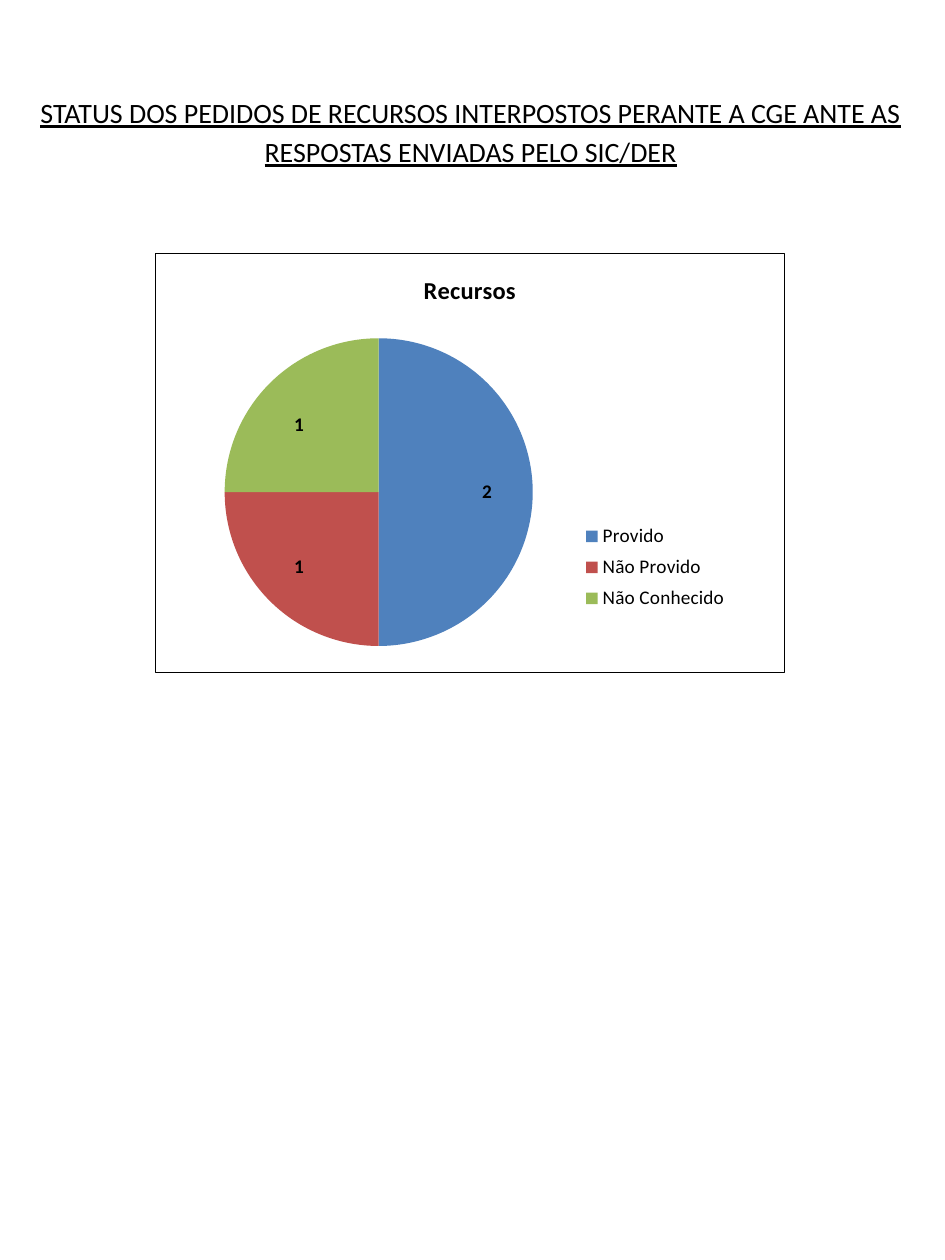
from dataclasses import dataclass

from lxml import etree
from pptx import Presentation
from pptx.chart.data import CategoryChartData
from pptx.dml.color import RGBColor
from pptx.enum.chart import XL_CHART_TYPE, XL_LABEL_POSITION, XL_LEGEND_POSITION
from pptx.enum.text import MSO_ANCHOR, MSO_AUTO_SIZE, PP_ALIGN
from pptx.oxml.ns import qn
from pptx.util import Pt

PIE = XL_CHART_TYPE.PIE
LABEL_CENTER = XL_LABEL_POSITION.CENTER
LEGEND_RIGHT = XL_LEGEND_POSITION.RIGHT
TOP = MSO_ANCHOR.TOP
NO_AUTOFIT = MSO_AUTO_SIZE.NONE
CENTER = PP_ALIGN.CENTER

FONT = "Calibri"
BLACK = "000000"
WHITE = "FFFFFF"
TITLE_ONLY = 5
HEADING = ("STATUS DOS PEDIDOS DE RECURSOS INTERPOSTOS PERANTE A CGE "
           "ANTE AS RESPOSTAS ENVIADAS PELO SIC/DER")
CHART_TITLE = "Recursos"


@dataclass(frozen=True)
class Slice:
    name: str
    value: int
    color: str
    label_shift: dict[str, float]  # fractions of the chart size


SLICES = [
    Slice("Provido", 2, "4F81BD", {"x": 0.05, "y": 0}),
    Slice("Não Provido", 1, "C0504D", {"x": -0.04, "y": 0.05}),
    Slice("Não Conhecido", 1, "9BBB59", {"x": -0.04, "y": -0.03}),
]


def rgb(color: str) -> RGBColor:
    return RGBColor.from_string(color)


def style_font(font, size: float, bold: bool = False) -> None:
    font.name = FONT
    font.size = Pt(size)
    font.bold = bold
    font.color.rgb = rgb(BLACK)


def manual_layout(values: dict[str, object]):
    """Make a chart layout element from its settings, in schema order."""
    layout = etree.Element(qn("c:layout"))
    manual = etree.SubElement(layout, qn("c:manualLayout"))
    for tag, value in values.items():
        etree.SubElement(manual, qn(f"c:{tag}")).set("val", str(value))
    return layout


def clear_layout(owner) -> None:
    for layout in owner.findall(qn("c:layout")):
        owner.remove(layout)


def add_solid_fill(owner, color: str) -> None:
    fill = etree.SubElement(owner, qn("a:solidFill"))
    etree.SubElement(fill, qn("a:srgbClr")).set("val", color)


def add_heading(page) -> None:
    box = page.shapes.title
    box.left, box.top, box.width, box.height = Pt(9.4), Pt(48.2), Pt(519), Pt(52)
    frame = box.text_frame
    frame.word_wrap = True
    frame.auto_size = NO_AUTOFIT
    frame.vertical_anchor = TOP
    para = frame.paragraphs[0]
    para.alignment = CENTER
    para.line_spacing = 1.15
    para.space_after = Pt(10)
    span = para.add_run()
    span.text = HEADING
    style_font(span.font, 16)
    span.font.underline = True


def style_slice(point, piece: Slice) -> None:
    point.format.fill.solid()
    point.format.fill.fore_color.rgb = rgb(piece.color)
    label = point.data_label
    style_font(label.font, 11, bold=True)
    label.position = LABEL_CENTER


def add_pie(page) -> None:
    data = CategoryChartData()
    data.categories = [piece.name for piece in SLICES]
    data.add_series(CHART_TITLE, [piece.value for piece in SLICES])
    chart = page.shapes.add_chart(
        PIE, Pt(88.5), Pt(144.5), Pt(360), Pt(240), data).chart
    style_font(chart.font, 11)
    root = chart.element

    # Chart title
    chart.has_title = True
    span = chart.chart_title.text_frame.paragraphs[0].add_run()
    span.text = CHART_TITLE
    style_font(span.font, 14, bold=True)

    # Slices and their values
    plot = chart.plots[0]
    plot.vary_by_categories = True
    series = plot.series[0]
    for index, piece in enumerate(SLICES):
        style_slice(series.points[index], piece)
    for label, piece in zip(root.iter(qn("c:dLbl")), SLICES):
        label.find(qn("c:idx")).addnext(manual_layout(piece.label_shift))

    # Legend
    chart.has_legend = True
    chart.legend.position = LEGEND_RIGHT
    chart.legend.include_in_layout = False
    style_font(chart.legend.font, 11)
    legend = root.find(f".//{qn('c:legend')}")
    clear_layout(legend)
    legend.find(qn("c:legendPos")).addnext(manual_layout({
        "xMode": "edge", "yMode": "edge", "x": 0.67, "y": 0.63, "w": 0.25, "h": 0.24}))

    # Place of the pie inside the chart
    area = root.find(f".//{qn('c:plotArea')}")
    clear_layout(area)
    area.insert(0, manual_layout({
        "layoutTarget": "inner", "xMode": "edge", "yMode": "edge",
        "x": 0.11, "y": 0.2, "w": 0.49, "h": 0.74}))

    # White ground with a thin black border
    ground = etree.Element(qn("c:spPr"))
    add_solid_fill(ground, WHITE)
    border = etree.SubElement(ground, qn("a:ln"))
    border.set("w", str(int(Pt(0.75))))
    add_solid_fill(border, BLACK)
    root.find(qn("c:chart")).addnext(ground)


def main() -> None:
    deck = Presentation()
    deck.slide_width, deck.slide_height = Pt(540), Pt(720)
    page = deck.slides.add_slide(deck.slide_layouts[TITLE_ONLY])
    add_heading(page)
    add_pie(page)
    deck.save("out.pptx")


if __name__ == "__main__":
    main()
